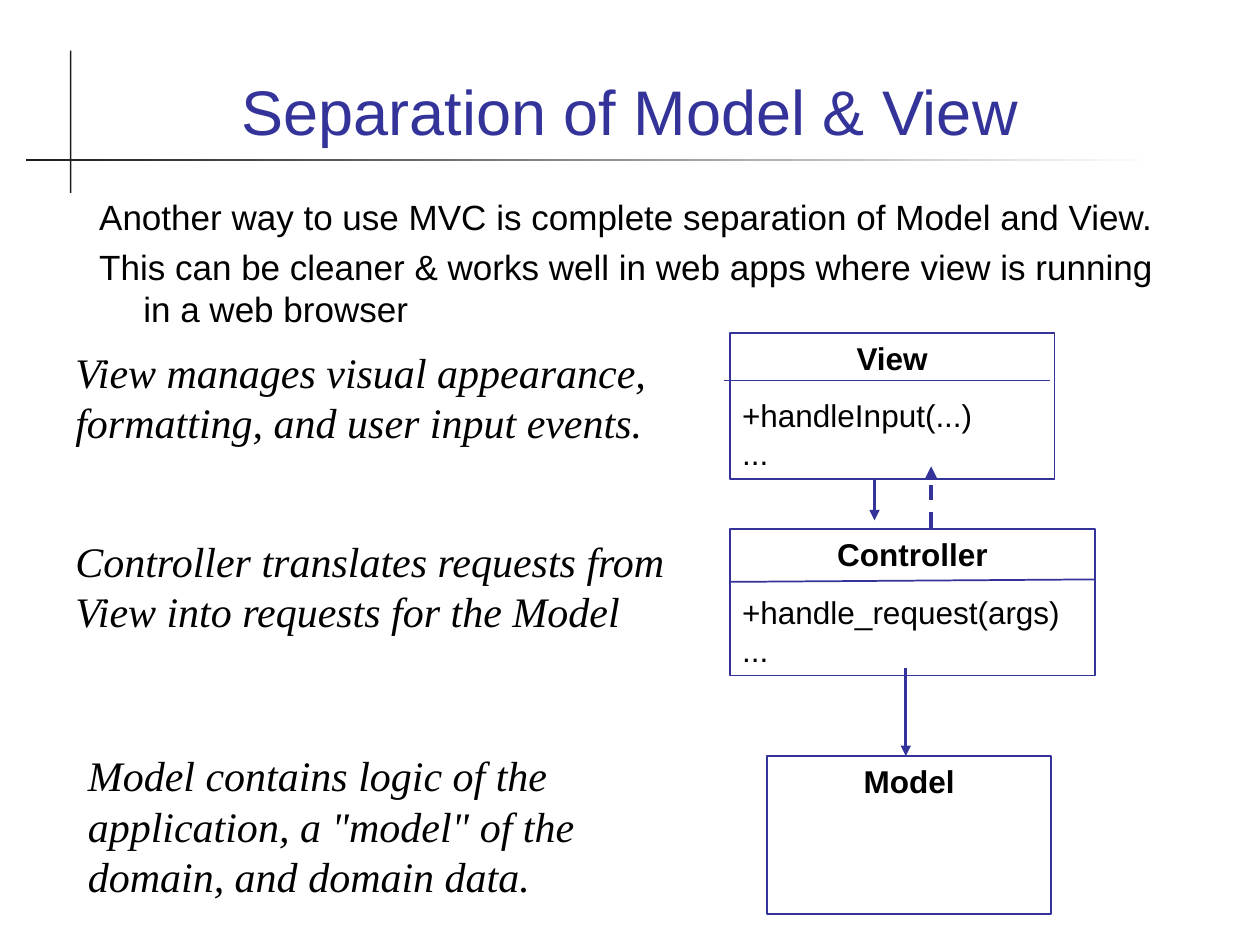
from lxml import etree
from pptx import Presentation
from pptx.dml.color import RGBColor
from pptx.enum.dml import MSO_LINE
from pptx.enum.shapes import MSO_CONNECTOR, MSO_SHAPE
from pptx.enum.text import MSO_ANCHOR, PP_ALIGN
from pptx.oxml.ns import qn
from pptx.util import Cm, Pt

RECT = MSO_SHAPE.RECTANGLE
STRAIGHT = MSO_CONNECTOR.STRAIGHT
DASH = MSO_LINE.DASH
TOP, BOTTOM = MSO_ANCHOR.TOP, MSO_ANCHOR.BOTTOM
LEFT, CENTER = PP_ALIGN.LEFT, PP_ALIGN.CENTER
COLORS = {"blue": "333399", "dark": "1C1C1C", "black": "000000", "white": "FFFFFF"}
RGB = {name: RGBColor.from_string(code) for name, code in COLORS.items()}

deck = Presentation()
deck.slide_width, deck.slide_height = Cm(25.4), Cm(19.05)
slide = deck.slides.add_slide(deck.slide_layouts[6])
shapes = slide.shapes


def write(shape, lines, size, face="Arial", color="black", anchor=TOP):
    """Fill the shape with one left-aligned paragraph per line and return them."""
    frame = shape.text_frame
    frame.word_wrap = True
    frame.vertical_anchor = anchor
    frame.text = "\n".join(lines)
    for para in frame.paragraphs:
        para.alignment = LEFT
        para.font.name = face
        para.font.size = Pt(size)
        para.font.color.rgb = RGB[color]
    return frame.paragraphs


def connect(x1, y1, x2, y2, width=1, arrow=False):
    line = shapes.add_connector(STRAIGHT, Cm(x1), Cm(y1), Cm(x2), Cm(y2))
    line.line.color.rgb = RGB["blue"]
    line.line.width = Pt(width)
    etree.SubElement(line._element.spPr, qn("a:effectLst"))
    if arrow:
        etree.SubElement(line.line._get_or_add_ln(), qn("a:tailEnd"), type="triangle")
    return line


# Crossed rules beside the title
upright = shapes.add_shape(RECT, Cm(1.41), Cm(1.02), Cm(0.03), Cm(2.87))
upright.fill.solid()
upright.fill.fore_color.rgb = RGB["dark"]
level = shapes.add_shape(RECT, Cm(0.53), Cm(3.21), Cm(22.78), Cm(0.04))
level.fill.gradient()
level.fill.gradient_angle = 0
for stop, name in zip(level.fill.gradient_stops, ("dark", "white")):
    stop.color.rgb = RGB[name]
for rule in (upright, level):
    rule.line.fill.background()
    rule.shadow.inherit = False

# Title and introduction
title = shapes.add_textbox(Cm(1.7), Cm(0.71), Cm(22), Cm(2.41))
write(title, ["Separation of Model & View"], 36, color="blue",
      anchor=BOTTOM)[0].alignment = CENTER

intro = shapes.add_textbox(Cm(1.7), Cm(3.81), Cm(22), Cm(3.3))
for para in write(intro, [
    "Another way to use MVC is complete separation of Model and View.",
    "This can be cleaner & works well in web apps where view is running in a web browser",
], 20):
    para.space_before = Pt(5)
    props = para._p.get_or_add_pPr()
    props.set("marL", str(Cm(0.94)))
    props.set("indent", str(Cm(-0.89)))

# Class boxes: the first line is the class name
for x, y, w, h, lines in [
    (15.47, 15.24, 5.72, 3.18, ["Model"]),
    (14.71, 6.71, 6.55, 2.95, ["View", "+handleInput(...)", "..."]),
    (14.71, 10.67, 7.37, 2.95, ["Controller", "+handle_request(args)", "..."]),
]:
    box = shapes.add_shape(RECT, Cm(x), Cm(y), Cm(w), Cm(h))
    box.shadow.inherit = False
    box.fill.background()
    box.line.color.rgb = RGB["blue"]
    box.line.width = Pt(1)
    paras = write(box, lines, 18)
    paras[0].alignment = CENTER
    paras[0].font.bold = True
    for para in paras[:2]:
        para.space_before = Pt(11.2)

# Dividers under the class names
connect(14.6, 7.67, 21.16, 7.67)
connect(14.71, 11.73, 22.08, 11.68)

# Calls downward, reply upward
connect(18.26, 13.46, 18.26, 15.24, 1.5, arrow=True)
connect(17.63, 9.65, 17.63, 10.49, 1.5, arrow=True)
reply = connect(18.77, 10.64, 18.77, 9.4, 2.25, arrow=True)
reply.line.dash_style = DASH

# Role of each class
for x, y, role in [
    (1.27, 10.67, "Controller translates requests from View into requests for the Model"),
    (1.27, 6.86, "View manages visual appearance, formatting, and user input events."),
    (1.52, 14.99, 'Model contains logic of the application, a "model" of the domain, '
                  "and domain data."),
]:
    note = shapes.add_textbox(Cm(x), Cm(y), Cm(12.45), Cm(3.3))
    write(note, [role], 24, "Times New Roman")[0].font.italic = True

deck.save("out.pptx")
